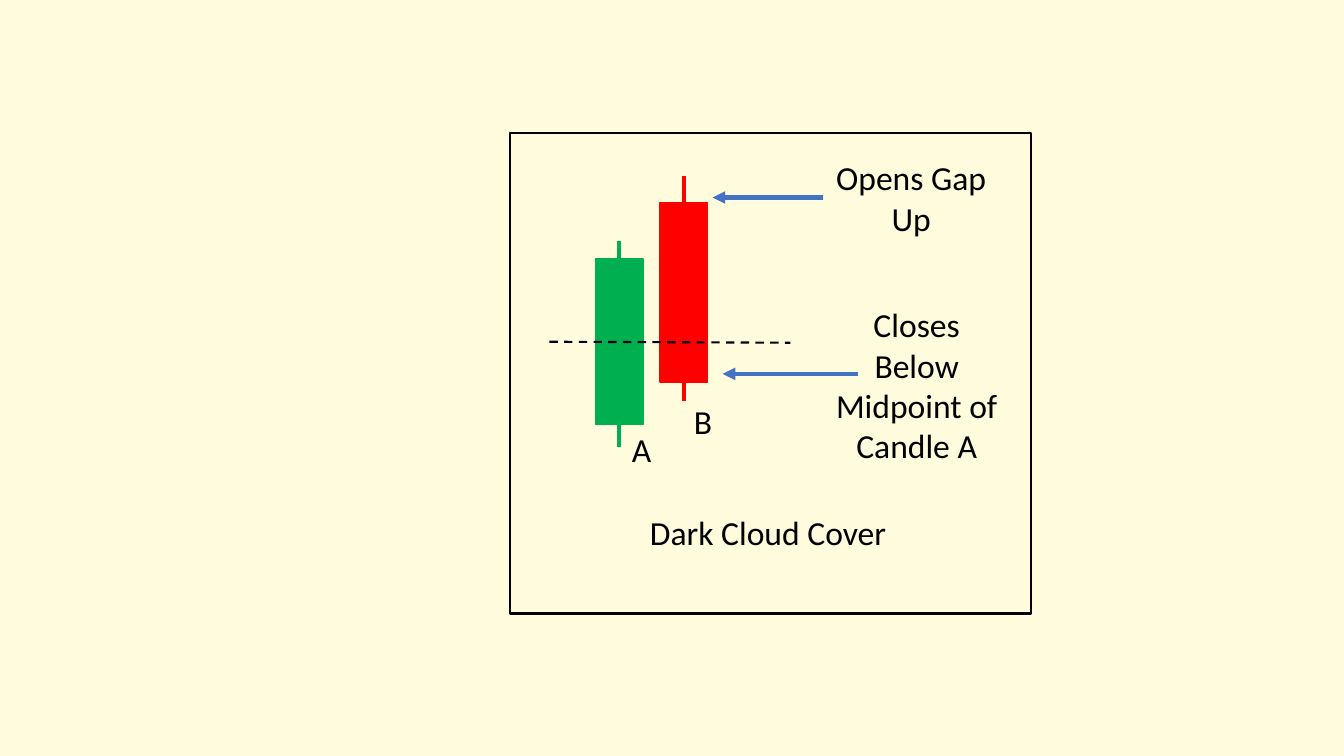
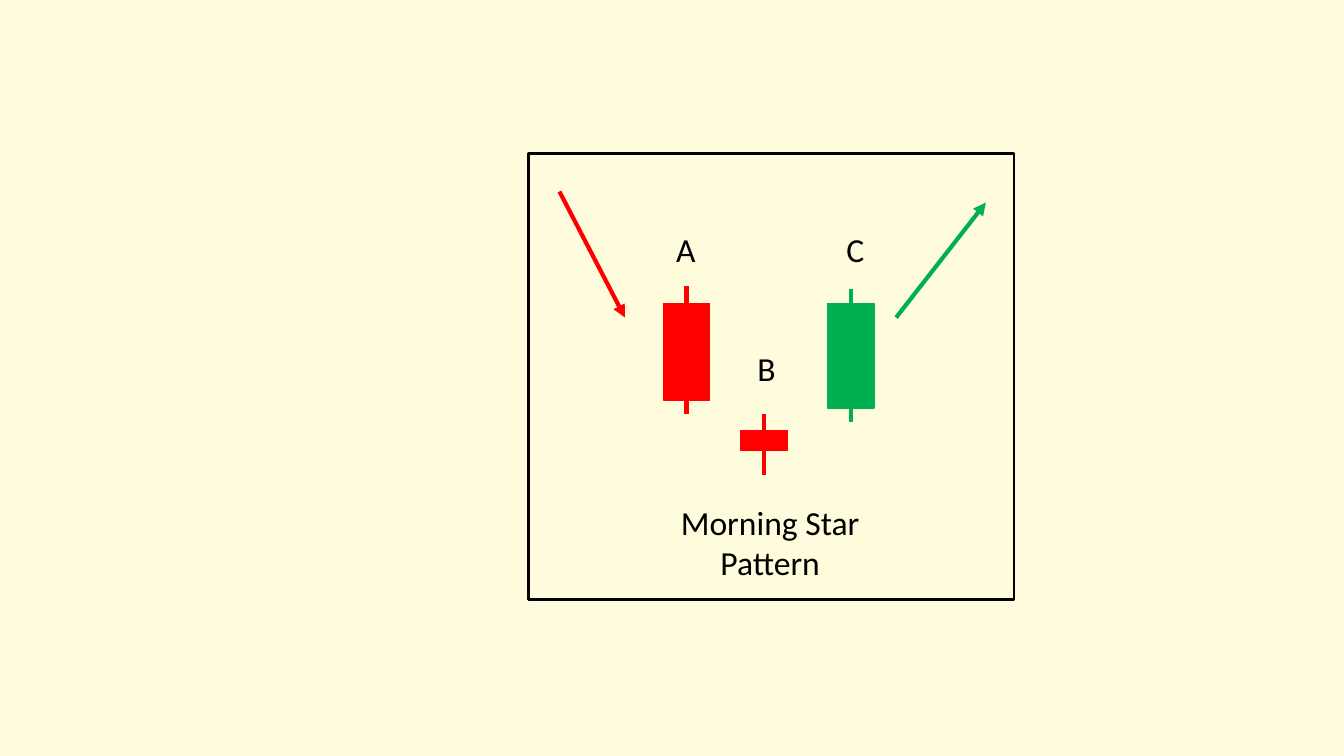
from pptx import Presentation
from pptx.dml.color import RGBColor
from pptx.enum.dml import MSO_LINE_DASH_STYLE as Dash
from pptx.enum.shapes import MSO_CONNECTOR as Connector, MSO_SHAPE as Shape
from pptx.enum.text import PP_ALIGN as Align
from pptx.oxml.ns import qn
from pptx.util import Pt
from lxml.etree import SubElement

CREAM = RGBColor(0xFF, 0xFB, 0xDD)
BLACK = RGBColor(0, 0, 0)
RED = RGBColor(0xFF, 0, 0)
GREEN = RGBColor(0, 0xB0, 0x50)
BLUE = RGBColor(0x44, 0x72, 0xC4)

FONT = "Calibri"
TEXT_SIZE = 24
LABEL_HEIGHT = 36
WICK_WIDTH = 3


def add_rectangle(shapes, left, top, width, height, line_color, line_width, fill=None):
    rectangle = shapes.add_shape(Shape.RECTANGLE, Pt(left), Pt(top), Pt(width), Pt(height))
    rectangle.shadow.inherit = False
    if fill is None:
        rectangle.fill.background()
    else:
        rectangle.fill.solid()
        rectangle.fill.fore_color.rgb = fill
    rectangle.line.color.rgb = line_color
    rectangle.line.width = Pt(line_width)


def add_line(shapes, start, end, color, width=WICK_WIDTH, dash=None, arrow=False):
    line = shapes.add_connector(Connector.STRAIGHT, *(Pt(value) for value in start + end))
    line.line.color.rgb = color
    line.line.width = Pt(width)
    if dash is not None:
        line.line.dash_style = dash
    properties = line._element.spPr
    if arrow:
        SubElement(properties.find(qn("a:ln")), qn("a:tailEnd"), type="triangle")
    SubElement(properties, qn("a:effectLst"))


def add_candle(page, color, left, top, width, height, high, low):
    """Group a candle body with a centred wick from high to low."""
    shapes = page.shapes.add_group_shape().shapes
    add_rectangle(shapes, left, top, width, height, color, 1, fill=color)
    center = left + width / 2
    add_line(shapes, (center, high), (center, low), color)


def add_label(page, left, top, width, *lines, height=LABEL_HEIGHT):
    box = page.shapes.add_textbox(Pt(left), Pt(top), Pt(width), Pt(height))
    frame = box.text_frame
    frame.word_wrap = True
    frame.text = "\n".join(lines)
    for para in frame.paragraphs:
        para.alignment = Align.CENTER
        para.font.name = FONT
        para.font.size = Pt(TEXT_SIZE)
        para.font.color.rgb = BLACK


def add_page(deck, left, top, width, height):
    """Add a blank slide with the black frame around its pattern."""
    page = deck.slides.add_slide(deck.slide_layouts[6])
    add_rectangle(page.shapes, left, top, width, height, BLACK, 2)
    return page


def add_dark_cloud_cover(deck):
    page = add_page(deck, 364.3, 95, 372.2, 343.4)

    # Candles and their letters
    body_width = 33.8
    add_candle(page, RED, 471.6, 144.7, body_width, 128.2, high=126, low=286.6)
    add_candle(page, GREEN, 425.5, 185, body_width, 118.1, high=172.1, low=319)
    add_label(page, 437.8, 303.1, 41, "A")
    add_label(page, 481.7, 283, 41, "B")

    # Notes with arrows, and the midpoint of candle A
    add_line(page.shapes, (612.7, 267.1), (516.2, 267.1), BLUE, arrow=True)
    add_line(page.shapes, (588.2, 141.1), (509, 141.1), BLUE, arrow=True)
    add_label(page, 588.2, 108.7, 125.3, "Opens Gap Up", height=65.5)
    add_label(page, 576.7, 213.8, 156.2,
              "Closes", "Below Midpoint of", "Candle A", height=123.8)
    add_line(page.shapes, (392.4, 244.1), (564.5, 244.8), BLACK, 1.5, dash=Dash.DASH)

    # Pattern name
    add_label(page, 388.1, 362.2, 321.1, "Dark Cloud Cover")


def add_morning_star(deck):
    page = add_page(deck, 377.3, 109.4, 347, 319)

    # Candles
    body_width = 33.1
    add_candle(page, RED, 473.8, 216.7, body_width, 69.1, high=204.5, low=295.9)
    add_candle(page, RED, 529.2, 307.4, body_width, 14.4, high=295.9, low=339.1)
    add_candle(page, GREEN, 591.1, 216.7, body_width, 74.9, high=206.6, low=301.7)

    # Letters
    for letter, left, top in (("A", 467.3, 159.8), ("B", 524.9, 244.8), ("C", 588.2, 159.8)):
        add_label(page, left, top, 45.4, letter)

    # Trend before and after
    add_line(page.shapes, (399.6, 136.8), (446.4, 226.8), RED, arrow=True)
    add_line(page.shapes, (640.1, 226.8), (704.2, 144.7), GREEN, arrow=True)

    # Pattern name
    add_label(page, 445, 355, 210.2, "Morning Star Pattern", height=65.5)


def main():
    deck = Presentation()
    deck.slide_width, deck.slide_height = Pt(960), Pt(540)
    background = deck.slide_master.background.fill
    background.solid()
    background.fore_color.rgb = CREAM
    add_dark_cloud_cover(deck)
    add_morning_star(deck)
    deck.save("out.pptx")


if __name__ == "__main__":
    main()
